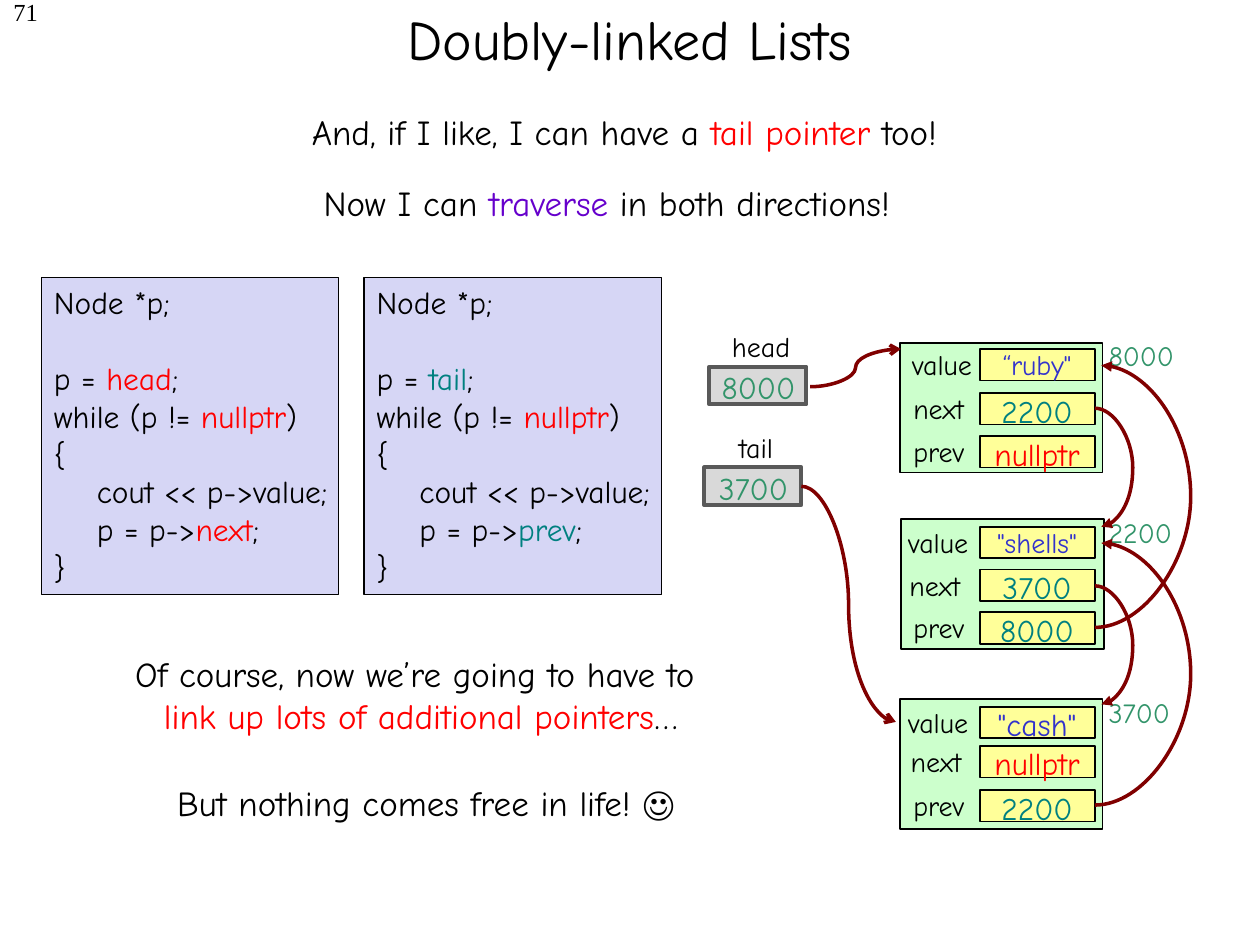
from lxml import etree
from pptx import Presentation
from pptx.dml.color import RGBColor
from pptx.enum import shapes, text
from pptx.oxml.ns import qn
from pptx.util import Inches, Pt

FONT = "Comic Neue"
COLORS = {
    "black": "000000", "red": "FF0000", "purple": "6600CC", "teal": "008080",
    "green": "32946A", "blue": "3333CC", "maroon": "800000",
    "node": "CCFFCC", "cell": "FFFF99", "code": "D6D6F5",
    "pointer": "D9D9D9", "gray": "595959",
}
LINE_HEIGHT = {14: 0.33, 16: 0.37, 18: 0.4, 20: 0.44}
CELL_LEFT, CELL_WIDTH, CELL_HEIGHT = 7.78, 0.91, 0.25
LEFT, CENTER, RIGHT = text.PP_ALIGN.LEFT, text.PP_ALIGN.CENTER, text.PP_ALIGN.RIGHT


def rgb(name):
    return RGBColor.from_string(COLORS[name])


def fill_paragraph(paragraph, parts, size=20, color="black", align=CENTER, font=FONT):
    """Parts are strings, or (string, color) pairs; "\n" is a line break."""
    paragraph.alignment = align
    for part in [parts] if isinstance(parts, str) else parts:
        if part == "\n":
            paragraph.add_line_break()
            continue
        words, shade = (part, color) if isinstance(part, str) else part
        run = paragraph.add_run()
        run.text = words
        run.font.name, run.font.size = font, Pt(size)
        run.font.color.rgb = rgb(shade)


def add_text(slide, parts, left, top, width, lines=1, wrap=False, size=20, **style):
    height = LINE_HEIGHT[size] + (lines - 1) * size / 60
    box = slide.shapes.add_textbox(Inches(left), Inches(top), Inches(width), Inches(height))
    box.text_frame.word_wrap = wrap
    box.text_frame.auto_size = text.MSO_AUTO_SIZE.SHAPE_TO_FIT_TEXT
    fill_paragraph(box.text_frame.paragraphs[0], parts, size=size, **style)


def add_box(slide, left, top, width, height, fill, line="black", weight=1):
    box = slide.shapes.add_shape(shapes.MSO_SHAPE.RECTANGLE, Inches(left), Inches(top),
                                 Inches(width), Inches(height))
    box.shadow.inherit = False
    box.fill.solid()
    box.fill.fore_color.rgb = rgb(fill)
    box.line.color.rgb = rgb(line)
    box.line.width = Pt(weight)
    return box


def add_link(slide, start, end, bend=0.5, head="triangle"):
    """Curved arrow; bend is the turning point as a share of its width."""
    link = slide.shapes.add_connector(shapes.MSO_CONNECTOR.CURVE,
                                      *(Inches(v) for v in start + end))
    link.line.color.rgb = rgb("maroon")
    link.line.width = Pt(2)
    properties = link._element.spPr
    guides = properties.find(qn("a:prstGeom")).get_or_add_avLst()
    etree.SubElement(guides, qn("a:gd"), name="adj1", fmla=f"val {round(bend * 100000)}")
    etree.SubElement(link.line._get_or_add_ln(), qn("a:tailEnd"), type=head)
    etree.SubElement(properties, qn("a:effectLst"))


def add_node(slide, left, top, address, label_lefts, cell_tops, values):
    add_box(slide, left, top, 1.61, 1.03, "node")
    rows = zip(("value", "next", "prev"), label_lefts, cell_tops, values)
    for field, label_left, cell_top, (value, color, size) in rows:
        add_text(slide, field, label_left, cell_top - 0.06, 0.7, size=16, align=LEFT)
        add_box(slide, CELL_LEFT, cell_top, CELL_WIDTH, CELL_HEIGHT, "cell")
        add_text(slide, value, CELL_LEFT - 0.04, cell_top - 0.06, 0.98, size=size, color=color)
    add_text(slide, address, 8.7, top - 0.08, 0.75, size=16, color="green", align=LEFT)


def add_pointer(slide, name, address, left, top):
    add_text(slide, name, left + 0.06, top - 0.34, 0.7, size=16)
    add_box(slide, left, top, 0.77, 0.3, "pointer", line="gray", weight=2.25)
    add_text(slide, address, left - 0.02, top - 0.04, 0.82, size=18, color="green")


def add_code(slide, left, start, step, accent):
    frame = add_box(slide, left, 2.2, 2.36, 2.52, "code", weight=0.75).text_frame
    frame.word_wrap = False
    frame.vertical_anchor = text.MSO_ANCHOR.TOP
    # Each line: indent level, parts, space before in points
    lines = [
        (0, "Node *p;", 0),
        (0, ["p = ", (start, accent), ";"], 21.6),
        (0, ["while (p != ", ("nullptr", "red"), ")"], 0),
        (0, "{", 0),
        (1, "cout << p->value;", 0),
        (1, ["p = p->", (step, accent), ";"], 0),
        (0, "}", 0),
    ]
    for number, (level, parts, gap) in enumerate(lines):
        paragraph = frame.add_paragraph() if number else frame.paragraphs[0]
        paragraph.space_before = Pt(gap)
        paragraph._p.get_or_add_pPr().set("marL", str(Inches(0.34 * level)))
        fill_paragraph(paragraph, parts, size=18, align=LEFT)


def main():
    deck = Presentation()
    deck.slide_width, deck.slide_height = Inches(10), Inches(7.5)
    slide = deck.slides.add_slide(deck.slide_layouts[5])

    # Title and page number
    title = slide.shapes.title
    title.left, title.top = Inches(0.75), Inches(-0.32)
    title.width, title.height = Inches(8.5), Inches(1.25)
    title.text_frame.vertical_anchor = text.MSO_ANCHOR.MIDDLE
    fill_paragraph(title.text_frame.paragraphs[0], "Doubly-linked Lists", size=32)
    add_text(slide, "71", 0, -0.07, 0.4, size=14, align=RIGHT, font="Times New Roman")

    # Linked nodes
    add_node(slide, 7.14, 2.72, "8000", (7.14, 7.15, 7.15), (2.77, 3.12, 3.46),
             [("“ruby\"", "blue", 16), ("2200", "teal", 18), ("nullptr", "red", 18)])
    add_node(slide, 7.15, 4.12, "2200", (7.11, 7.12, 7.15), (4.18, 4.52, 4.86),
             [('"shells"', "blue", 16), ("3700", "teal", 18), ("8000", "teal", 18)])
    add_node(slide, 7.14, 5.55, "3700", (7.11, 7.13, 7.15), (5.61, 5.92, 6.27),
             [('"cash"', "blue", 18), ("nullptr", "red", 18), ("2200", "teal", 18)])

    # Head and tail pointers
    add_pointer(slide, "head", "8000", 5.63, 2.91)
    add_pointer(slide, "tail", "3700", 5.59, 3.71)
    add_link(slide, (6.43, 3.07), (7.15, 2.77), head="arrow")
    add_link(slide, (6.36, 3.86), (7.11, 5.73), head="arrow")

    # Next links run down, prev links run up
    for top in (3.24, 4.65):
        add_link(slide, (8.69, top), (8.74, top + 0.94), bend=6)
    for bottom in (4.98, 6.39):
        add_link(slide, (8.69, bottom), (8.74, bottom - 2.08), bend=15.2)

    # Traversal code
    add_code(slide, 0.33, "head", "next", "red")
    add_code(slide, 2.89, "tail", "prev", "teal")

    # Remarks
    add_text(slide, ["And, if I like, I can have a ", ("tail pointer ", "red"), "too!"],
             0.33, 0.83, 9.25, wrap=True)
    add_text(slide, ["Now I can ", ("traverse ", "purple"), "in both directions!"],
             0.19, 1.39, 9.25, wrap=True)
    add_text(slide, ["Of course, now we’re going to have to ", "\n",
                     ("link up lots of additional pointers", "red"), "…"],
             0.45, 5.13, 5.78, lines=2, wrap=True)
    add_text(slide, "But nothing comes free in life! ☺", 0.49, 6.15, 5.78, wrap=True)

    deck.save("out.pptx")


if __name__ == "__main__":
    main()
